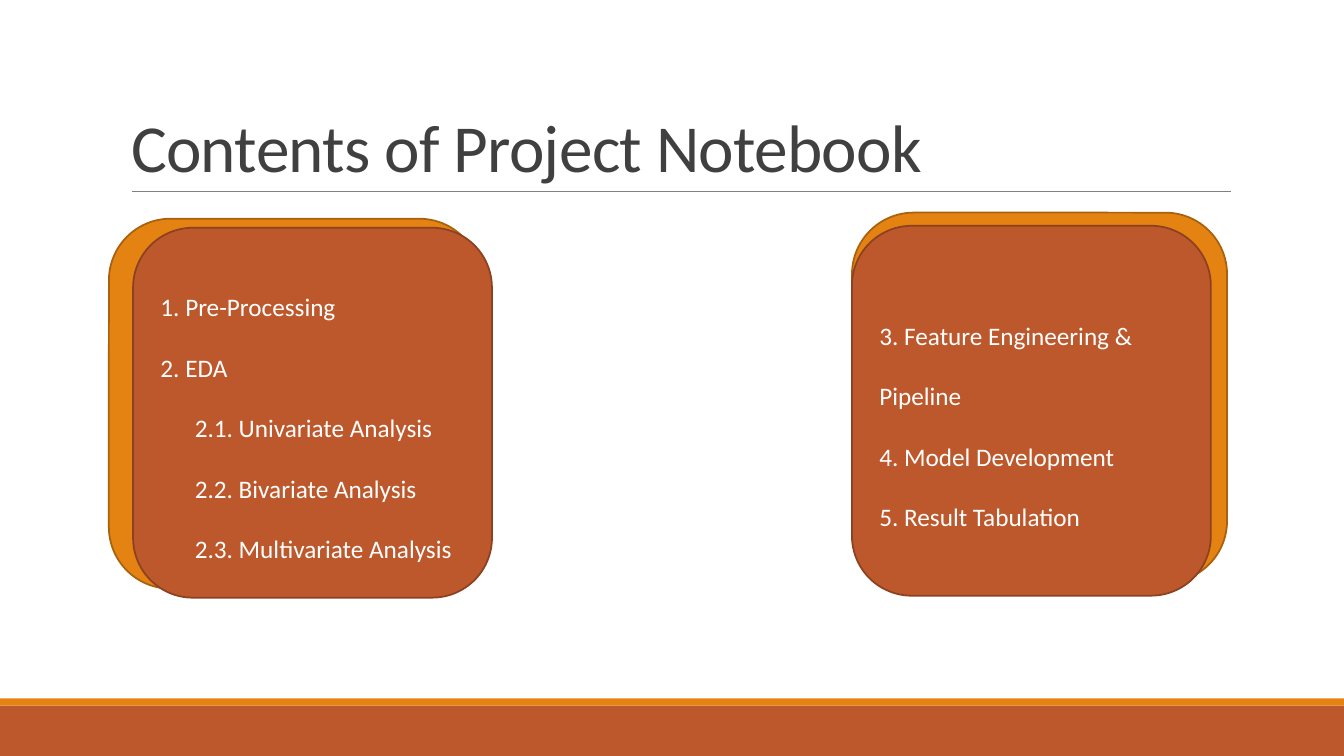
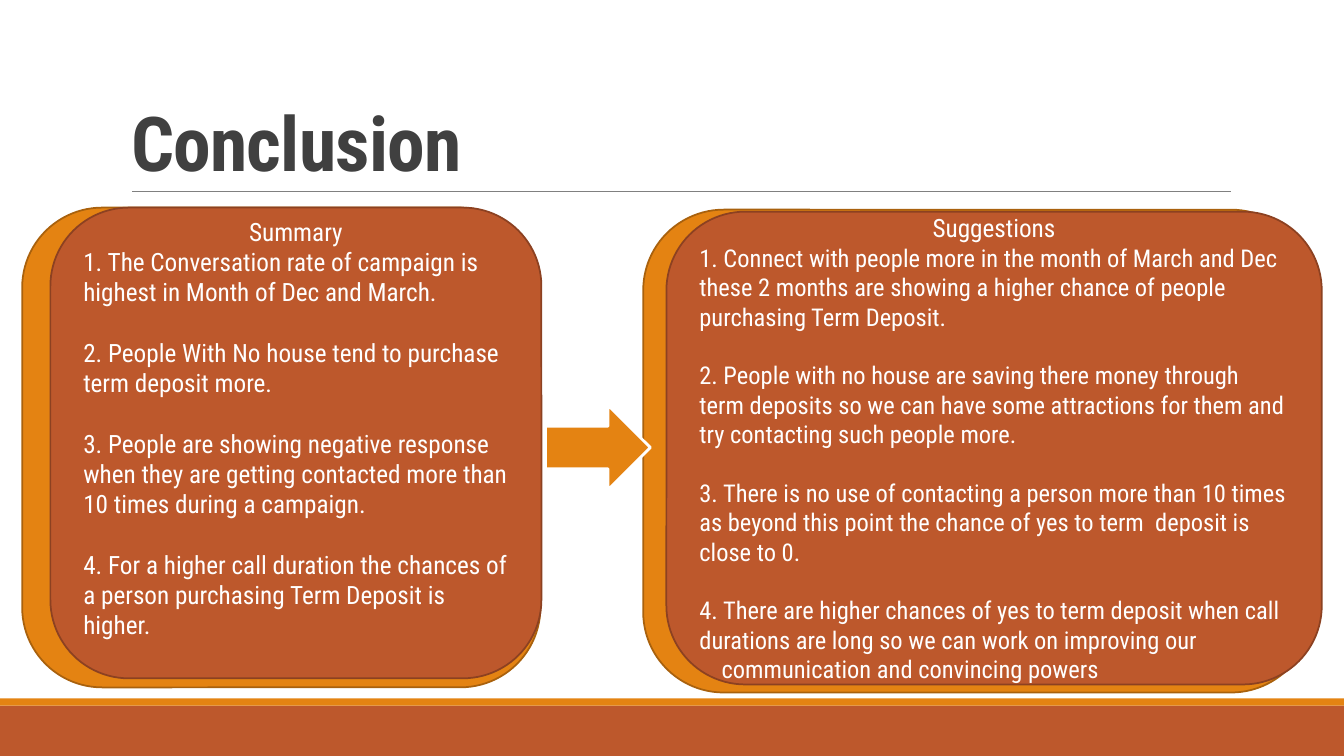
"""Build the notebook contents and conclusion slides."""
from lxml import etree
from pptx import Presentation
from pptx import util as u
from pptx.dml.color import RGBColor
from pptx.enum import shapes, text
from pptx.oxml.ns import qn

COLORS = {
    "orange": "E48312", "orange_edge": "A9610D",
    "rust": "BD582C", "rust_edge": "8C4121",
    "title": "404040", "rule": "808080", "white": "FFFFFF",
}
BODY_FONT = "Calibri"
CONDENSED_FONT = "Roboto Condensed"
SLIDE_WIDTH, SLIDE_HEIGHT = 13.33, 7.5
TITLE_BOX = (1.2, 0.31, 11, 1.59)

CONTENTS_LEFT = [
    ("1. Pre-Processing", 0),
    ("2. EDA", 0),
    ("2.1. Univariate Analysis", 0.34),
    ("2.2. Bivariate Analysis", 0.34),
    ("2.3. Multivariate Analysis", 0.34),
]
CONTENTS_RIGHT = [
    ("3. Feature Engineering & Pipeline", 0),
    ("4. Model Development", 0),
    ("5. Result Tabulation", 0),
]
SUMMARY = [
    "1. The Conversation rate of campaign is highest in Month of Dec and March.",
    "2. People With No house tend to purchase term deposit more.",
    "3. People are showing negative response when they are getting contacted "
    "more than 10 times during a campaign.",
    "4. For a higher call duration the chances of a person purchasing "
    "Term Deposit is higher.",
]
SUGGESTIONS = [
    "1. Connect with people more in the month of March and Dec these 2 months "
    "are showing a higher chance of people purchasing Term Deposit.",
    "2. People with no house are saving there money through term deposits so we "
    "can have some attractions for them and try contacting such people more.",
    "3. There is no use of contacting a person more than 10 times as beyond this "
    "point the chance of yes to term  deposit is close to 0.",
    "4. There are higher chances of yes to term deposit when call durations are "
    "long so we can work on improving our",
]
SUGGESTIONS_ENDING = "communication and convincing powers"


def color(name):
    """Return the named colour."""
    return RGBColor.from_string(COLORS[name])


def inches(box):
    """Convert a tuple of numbers to lengths."""
    return [u.Inches(value) for value in box]


def add_box(container, kind, box, fill, edge=None, width=1.25):
    """Add a filled preset shape, outlined when an edge colour is given."""
    shape = container.add_shape(kind, *inches(box))
    shape.shadow.inherit = False
    shape.fill.solid()
    shape.fill.fore_color.rgb = color(fill)
    if edge:
        shape.line.color.rgb = color(edge)
        shape.line.width = u.Pt(width)
    else:
        shape.line.fill.background()
    return shape


def add_rule(container, start, end):
    """Add the thin line under the title."""
    rule = container.add_connector(
        shapes.MSO_CONNECTOR.STRAIGHT, *inches(start + end))
    rule.line.color.rgb = color("rule")
    rule.line.width = u.Pt(0.5)
    etree.SubElement(rule.element.spPr, qn("a:effectLst"))
    return rule


def set_up_layout(presentation, layout):
    """Place the title, bands and rule that all slides share on the layout."""
    title = layout.placeholders[0]
    title.left, title.top, title.width, title.height = inches(TITLE_BOX)
    for placeholder in list(layout.placeholders)[1:]:
        placeholder.element.getparent().remove(placeholder.element)
    slide = presentation.slides.add_slide(layout)
    rectangle = shapes.MSO_SHAPE.RECTANGLE
    decorations = [
        add_box(slide.shapes, rectangle, (0, 7, SLIDE_WIDTH, 0.5), "rust"),
        add_box(slide.shapes, rectangle, (0, 6.93, SLIDE_WIDTH, 0.07), "orange"),
        add_rule(slide.shapes, (1.31, 1.9), (12.21, 1.9)),
    ]
    for shape in decorations:
        layout.shapes.element.append(shape.element)
    return slide


def set_title(slide, wording, font, size, bold=False):
    """Write the slide title in the shared title style."""
    frame = slide.shapes.title.text_frame
    frame.text = wording
    frame.word_wrap = True
    frame.vertical_anchor = text.MSO_ANCHOR.BOTTOM
    paragraph = frame.paragraphs[0]
    paragraph.alignment = text.PP_ALIGN.LEFT
    paragraph.line_spacing = 0.85
    run = paragraph.runs[0]
    style_run(run, font, size, "title")
    run.font.bold = bold
    run.font._element.set("spc", "-50")


def style_run(run, font, size, color_name="white"):
    """Set the font, size and colour of a run."""
    run.font.name = font
    run.font.size = u.Pt(size)
    run.font.color.rgb = color(color_name)


def add_card(slide, back_box, front_box):
    """Add a rust card over an orange one and return the card's text frame."""
    group = slide.shapes.add_group_shape()
    rounded = shapes.MSO_SHAPE.ROUNDED_RECTANGLE
    add_box(group.shapes, rounded, back_box, "orange", "orange_edge")
    card = add_box(group.shapes, rounded, front_box, "rust", "rust_edge")
    frame = card.text_frame
    frame.word_wrap = True
    frame.vertical_anchor = text.MSO_ANCHOR.MIDDLE
    return frame


def add_line(frame, wording, font, size, indent=0, spacing=None, gap=0,
             alignment=text.PP_ALIGN.LEFT):
    """Write one paragraph, using the empty first one when there is one."""
    paragraph = frame.paragraphs[0]
    if paragraph.runs:
        paragraph = frame.add_paragraph()
    paragraph.text = wording
    paragraph.alignment = alignment
    paragraph.space_after = u.Pt(gap)
    if spacing:
        paragraph.line_spacing = spacing
    if indent:
        paragraph._p.get_or_add_pPr().set("marL", str(u.Inches(indent)))
    style_run(paragraph.runs[0], font, size)


def write_contents(frame, entries):
    """Fill a contents card with double-spaced entries."""
    for wording, indent in entries:
        add_line(frame, wording, BODY_FONT, 18, indent, spacing=2)


def write_points(frame, heading, points, size):
    """Fill a card with a centred heading and points one line apart."""
    add_line(frame, heading, CONDENSED_FONT, 18,
             alignment=text.PP_ALIGN.CENTER)
    for point in points:
        gap = 0 if point == points[-1] else size * 1.2
        add_line(frame, point, CONDENSED_FONT, size, gap=gap)


def build_contents(slide):
    """Build the contents slide."""
    set_title(slide, "Contents of Project Notebook", BODY_FONT, 48)
    right = add_card(slide, (8.45, 2.11, 3.72, 3.67), (8.45, 2.24, 3.56, 3.67))
    write_contents(right, CONTENTS_RIGHT)
    left = add_card(slide, (1.08, 2.17, 3.69, 3.67), (1.32, 2.26, 3.56, 3.67))
    write_contents(left, CONTENTS_LEFT)


def build_conclusion(slide):
    """Build the conclusion slide."""
    set_title(slide, "Conclusion", CONDENSED_FONT, 54, bold=True)
    summary = add_card(slide, (0.22, 2.06, 5.14, 4.76), (0.5, 2.06, 4.87, 4.67))
    summary.margin_top, summary.margin_bottom = inches((0, 0.3))
    write_points(summary, "Summary", SUMMARY, 18)
    suggestions = add_card(
        slide, (6.38, 2.08, 6.63, 4.79), (6.61, 2.1, 6.5, 4.69))
    write_points(suggestions, "Suggestions", SUGGESTIONS, 17.5)
    add_line(suggestions, SUGGESTIONS_ENDING, CONDENSED_FONT, 17.5, indent=0.22)
    add_box(slide.shapes, shapes.MSO_SHAPE.RIGHT_ARROW,
            (5.41, 4.02, 1.04, 0.84), "orange", "white", 2)


def main():
    """Build and save the presentation."""
    presentation = Presentation()
    presentation.slide_width = u.Inches(SLIDE_WIDTH)
    presentation.slide_height = u.Inches(SLIDE_HEIGHT)
    layout = presentation.slide_layouts.get_by_name("Title Only")
    build_contents(set_up_layout(presentation, layout))
    build_conclusion(presentation.slides.add_slide(layout))
    presentation.save("out.pptx")


if __name__ == "__main__":
    main()
